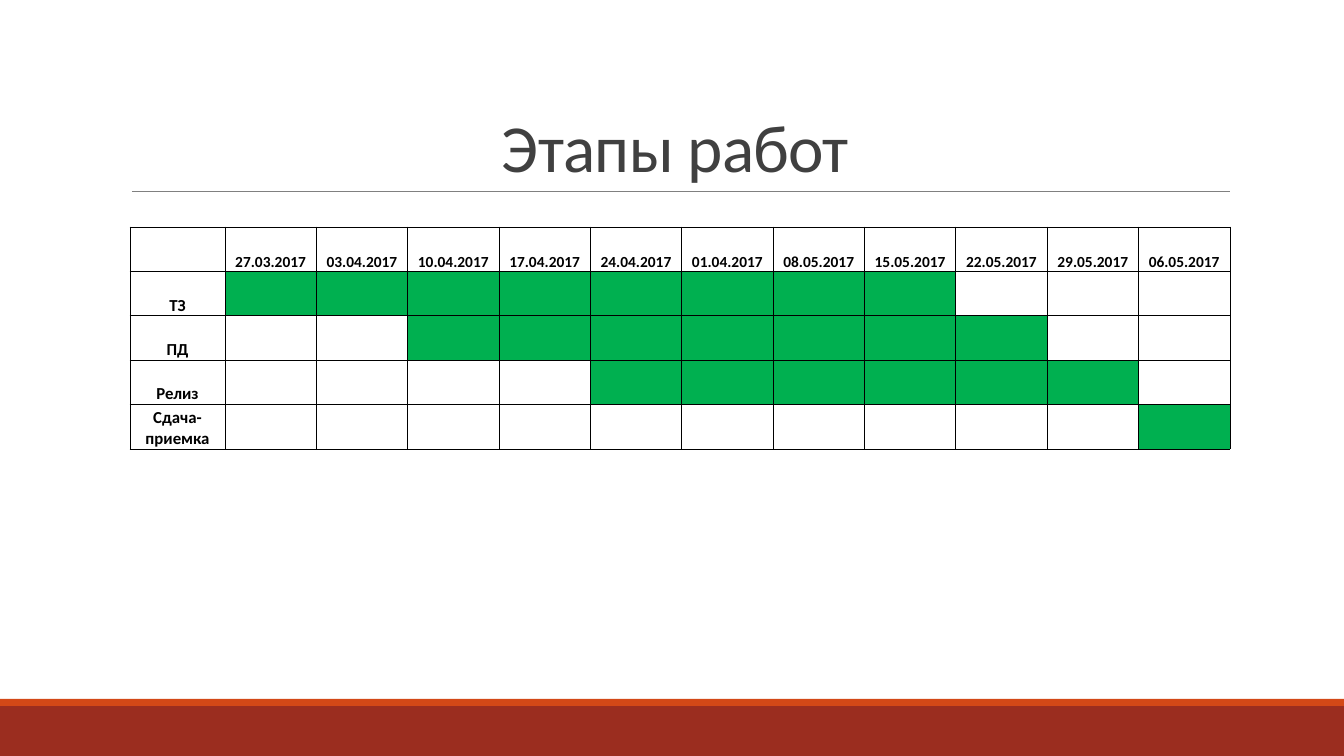
import pptx
import pptx.util
import pptx.dml.color
import pptx.enum.shapes
import pptx.enum.text
import pptx.oxml
import pptx.oxml.ns
from dataclasses import dataclass

SCALE = 914400 / 100.8
ALIGN = pptx.enum.text.PP_ALIGN
ANCHOR = pptx.enum.text.MSO_ANCHOR


@dataclass(frozen=True)
class Theme:
    font: str = "Calibri"
    title: str = "404040"
    text: str = "000000"
    rule: str = "808080"
    base: str = "9B2D1F"
    strip: str = "D34817"
    done: str = "00B050"
    big: int = 48
    label: int = 12
    date: int = 11
    thin: float = 0.5


def px(value):
    return round(value * SCALE)


def color(code):
    return pptx.dml.color.RGBColor.from_string(code)


class Board:
    def __init__(self, slide, theme):
        self.slide = slide
        self.theme = theme

    def band(self, left, top, width, height, fill):
        shape = self.slide.shapes.add_shape(
            pptx.enum.shapes.MSO_SHAPE.RECTANGLE, px(left), px(top), px(width), px(height))
        shape.shadow.inherit = False
        shape.fill.solid()
        shape.fill.fore_color.rgb = color(fill)
        shape.line.fill.background()

    def rule(self, left, right, y):
        line = self.slide.shapes.add_connector(
            pptx.enum.shapes.MSO_CONNECTOR.STRAIGHT, px(left), px(y), px(right), px(y))
        line.line.color.rgb = color(self.theme.rule)
        line.line.width = pptx.util.Pt(self.theme.thin)
        props = line._element.spPr
        props.append(props.makeelement(pptx.oxml.ns.qn("a:effectLst"), {}))

    def words(self, frame, text, size, ink, bold=False):
        para = frame.paragraphs[0]
        para.alignment = ALIGN.CENTER
        run = para.add_run()
        run.text = text
        run.font.name = self.theme.font
        run.font.size = pptx.util.Pt(size)
        run.font.bold = bold
        run.font.color.rgb = color(ink)
        return para, run

    def title(self, left, top, width, height, text):
        box = self.slide.shapes.add_textbox(px(left), px(top), px(width), px(height))
        frame = box.text_frame
        frame.word_wrap = True
        frame.vertical_anchor = ANCHOR.BOTTOM
        para, run = self.words(frame, text, self.theme.big, self.theme.title)
        para.line_spacing = 0.85
        run._r.get_or_add_rPr().set("spc", "-50")

    def cell(self, cell, text, size, fill):
        cell.margin_left = cell.margin_right = cell.margin_top = px(1)
        cell.margin_bottom = 0
        cell.vertical_anchor = ANCHOR.BOTTOM
        props = cell._tc.get_or_add_tcPr()
        width = pptx.util.Pt(self.theme.thin)
        for side in ("lnL", "lnR", "lnT", "lnB"):
            props.append(pptx.oxml.parse_xml(
                f'<a:{side} {pptx.oxml.ns.nsdecls("a")} w="{width}"><a:solidFill>'
                f'<a:srgbClr val="{self.theme.text}"/></a:solidFill></a:{side}>'))
        if fill:
            cell.fill.solid()
            cell.fill.fore_color.rgb = color(fill)
        else:
            cell.fill.background()
        if text:
            self.words(cell.text_frame, text, size, self.theme.text, True)

    def plan(self, left, top, width, height, first, dates, stages):
        rows, cols = len(stages) + 1, len(dates) + 1
        table = self.slide.shapes.add_table(
            rows, cols, px(left), px(top), px(width), px(height)).table
        table.first_row = table.horz_banding = False
        for row in table.rows:
            row.height = px(height / rows)
        for col in table.columns:
            col.width = px((width - first) / len(dates))
        table.columns[0].width = px(first)
        for c, date in enumerate([""] + dates):
            self.cell(table.cell(0, c), date, self.theme.date, None)
        for r, (name, start, end) in enumerate(stages, 1):
            for c in range(cols):
                fill = self.theme.done if start <= c <= end else None
                self.cell(table.cell(r, c), "" if c else name, self.theme.label, fill)


DATES = ["27.03.2017", "03.04.2017", "10.04.2017", "17.04.2017", "24.04.2017", "01.04.2017",
         "08.05.2017", "15.05.2017", "22.05.2017", "29.05.2017", "06.05.2017"]
STAGES = [("ТЗ", 1, 8), ("ПД", 3, 9), ("Релиз", 5, 10), ("Сдача-приемка", 11, 11)]

deck = pptx.Presentation()
deck.slide_width, deck.slide_height = px(1344), px(756)
theme = Theme()
board = Board(deck.slides.add_slide(deck.slide_layouts[6]), theme)
board.band(0, 706, 1344, 50, theme.base)
board.band(0, 699, 1344, 7, theme.strip)
board.rule(132, 1230, 191)
board.title(121, 31, 1109, 160, "Этапы работ")
board.plan(130, 227, 1100, 222, 95, DATES, STAGES)
deck.save("out.pptx")
